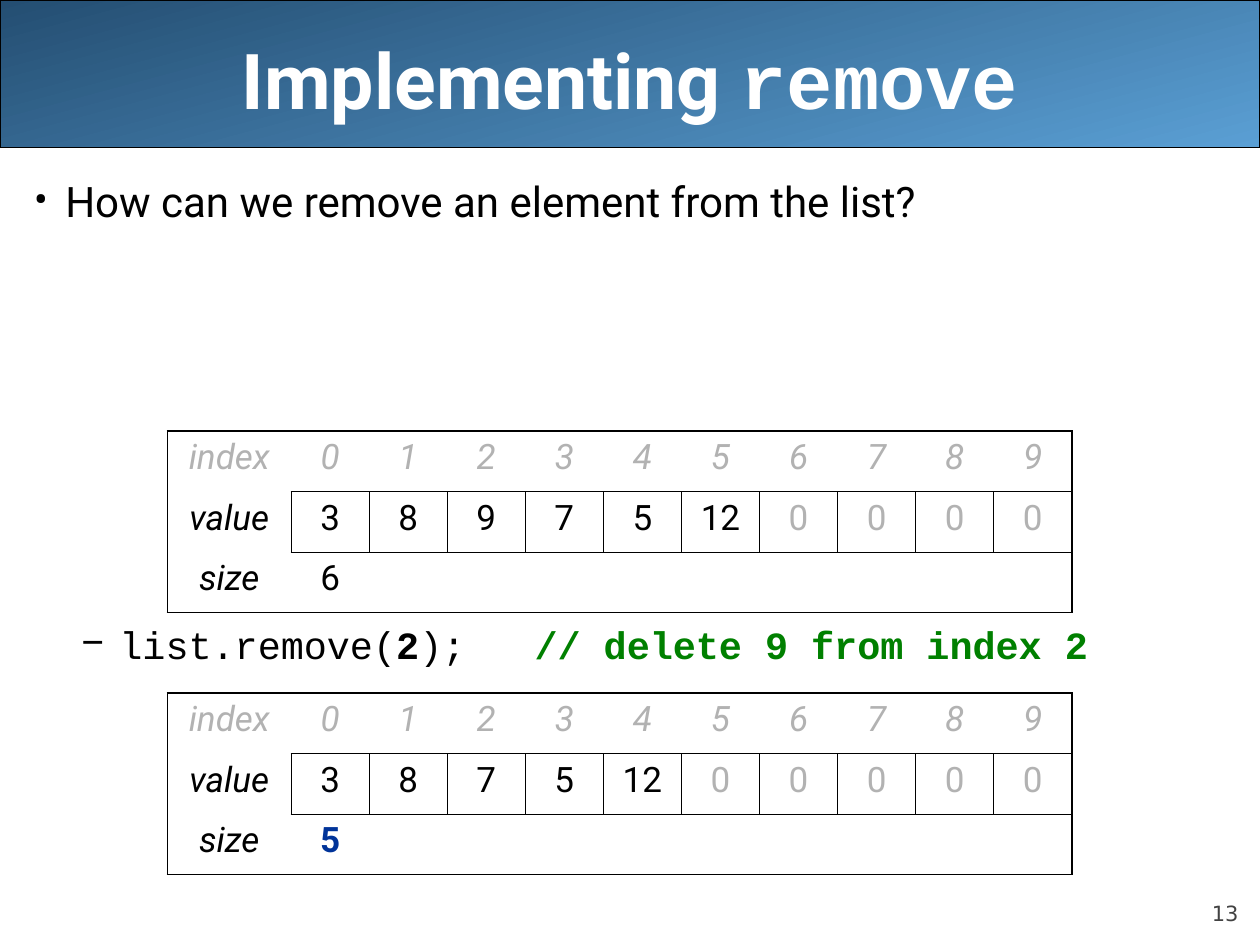
from lxml import etree
from pptx import Presentation
from pptx.dml.color import RGBColor
from pptx.enum.shapes import MSO_SHAPE
from pptx.enum.text import MSO_ANCHOR, PP_ALIGN
from pptx.oxml.ns import qn
from pptx.util import Inches, Pt

ROUNDED = MSO_SHAPE.ROUNDED_RECTANGLE
CENTER, RIGHT = PP_ALIGN.CENTER, PP_ALIGN.RIGHT
MIDDLE, BOTTOM = MSO_ANCHOR.MIDDLE, MSO_ANCHOR.BOTTOM
BLACK = RGBColor(0x00, 0x00, 0x00)
WHITE = RGBColor(0xFF, 0xFF, 0xFF)
GRAY = RGBColor(0xB2, 0xB2, 0xB2)
DARK_GRAY = RGBColor(0x42, 0x42, 0x42)
GREEN = RGBColor(0x00, 0x80, 0x00)
NAVY = RGBColor(0x00, 0x33, 0x99)
BAND_DARK = RGBColor(0x24, 0x4E, 0x72)
BAND_LIGHT = RGBColor(0x5A, 0x9F, 0xD4)
SANS, MONO = "Roboto", "Courier New"
NO_GRID_STYLE = "{2D5ABB26-0587-4C30-8999-92F81FD0307C}"

# Content
TITLE_FORMAT = {"size": Pt(44), "bold": True, "color": WHITE}
TITLE = [("Implementing ", {"name": SANS, **TITLE_FORMAT}),
         ("remove", {"name": MONO, **TITLE_FORMAT})]
CODE = {"name": MONO, "size": Pt(22), "color": BLACK}
BULLETS = [
    {"mark": "•", "margin": 0.25, "hang": 0.25, "before": 0,
     "spans": [("How can we remove an element from the list?",
                {"name": SANS, "size": Pt(24), "color": BLACK})]},
    {"mark": "–", "margin": 0.68, "hang": 0.31, "before": 231,
     "spans": [("list.remove(", CODE), ("2", {**CODE, "bold": True}),
               (");   ", CODE),
               ("// delete 9 from index 2",
                {**CODE, "bold": True, "color": GREEN})]},
]
PAGE_NUMBER = ("13", {"name": "DejaVu Sans", "size": Pt(12), "color": DARK_GRAY})
CAPACITY = 10
LISTS = [
    {"top": 3.42, "values": [3, 8, 9, 7, 5, 12], "size_format": {"color": BLACK}},
    {"top": 5.5, "values": [3, 8, 7, 5, 12],
     "size_format": {"color": NAVY, "bold": True}},
]

# Table measures
TABLE_LEFT, LABEL_WIDTH, CELL_WIDTH, ROW_HEIGHT = 1.33, 0.98, 0.62, 0.48
OUTER, INNER = Pt(1.08), Pt(0.45)


def add_span(para, text, style):
    span = para.add_run()
    span.text = text
    for key, value in style.items():
        if key == "color":
            span.font.color.rgb = value
        else:
            setattr(span.font, key, value)


def add_text_box(page, left, top, width, height):
    box = page.shapes.add_textbox(*map(Inches, (left, top, width, height)))
    box.text_frame.word_wrap = True
    return box.text_frame


def set_bullet(para, mark, margin, hang):
    props = para._p.get_or_add_pPr()
    props.set("marL", str(Inches(margin)))
    props.set("indent", str(-Inches(hang)))
    color = etree.SubElement(props, qn("a:buClr"))
    etree.SubElement(color, qn("a:srgbClr"), val=str(BLACK))
    etree.SubElement(props, qn("a:buFont"), typeface=SANS)
    etree.SubElement(props, qn("a:buChar"), char=mark)


def set_borders(cell, row, column):
    """Heavy frame around the table, thin grid around the value cells."""
    is_value = row == 1 and column > 0
    widths = {
        "L": OUTER if column == 0 else INNER if is_value else None,
        "R": OUTER if column == CAPACITY
        else INNER if row == 1 else None,
        "T": OUTER if row == 0 else INNER if column and row else None,
        "B": OUTER if row == 2 else INNER if column else None,
    }
    props = cell._tc.get_or_add_tcPr()
    for side, width in widths.items():
        if width:
            line = etree.SubElement(props, qn("a:ln" + side), w=str(int(width)))
            fill = etree.SubElement(line, qn("a:solidFill"))
            etree.SubElement(fill, qn("a:srgbClr"), val=str(BLACK))


def add_list_table(page, top, values, size_format):
    unused = CAPACITY - len(values)
    label, faded = {"color": BLACK, "italic": True}, {"color": GRAY}
    header = {"color": GRAY, "italic": True}
    rows = [
        [(text, header) for text in ["index", *range(CAPACITY)]],
        [("value", label)] + [(value, {"color": BLACK}) for value in values]
        + [(0, faded)] * unused,
        [("size", label), (len(values), size_format)]
        + [("", {})] * (CAPACITY - 1),
    ]
    widths = [LABEL_WIDTH] + [CELL_WIDTH] * CAPACITY
    frame = page.shapes.add_table(
        len(rows), len(widths), Inches(TABLE_LEFT), Inches(top),
        Inches(sum(widths)), Inches(ROW_HEIGHT * len(rows)))
    table = frame.table
    table.first_row = table.horz_banding = False
    table._tbl.tblPr.find(qn("a:tableStyleId")).text = NO_GRID_STYLE
    for column, width in zip(table.columns, widths):
        column.width = Inches(width)
    for row_index, row in enumerate(rows):
        table.rows[row_index].height = Inches(ROW_HEIGHT)
        for column_index, (text, style) in enumerate(row):
            cell = table.cell(row_index, column_index)
            set_borders(cell, row_index, column_index)
            cell.fill.background()
            para = cell.text_frame.paragraphs[0]
            para.alignment = CENTER
            if text != "":
                add_span(para, str(text), {"name": SANS, "size": Pt(20), **style})


def main():
    deck = Presentation()
    deck.slide_width, deck.slide_height = Inches(10), Inches(7.5)
    page = deck.slides.add_slide(deck.slide_layouts[5])
    title = page.shapes.title

    # Header band, placed behind the title
    band = page.shapes.add_shape(ROUNDED, 0, 0, Inches(10), Inches(1.17))
    band.adjustments[0] = 0
    band.shadow.inherit = False
    band.fill.gradient()
    band.fill.gradient_angle = 285
    for stop, color in zip(band.fill.gradient_stops, (BAND_DARK, BAND_LIGHT)):
        stop.color.rgb = color
    band.line.color.rgb = BLACK
    band.line.width = Pt(0.75)
    title._element.addprevious(band._element)

    # Title
    title.left, title.top = Inches(0.5), Inches(0)
    title.width, title.height = Inches(9), Inches(1.25)
    title.text_frame.vertical_anchor = MIDDLE
    heading = title.text_frame.paragraphs[0]
    heading.alignment = CENTER
    for text, style in TITLE:
        add_span(heading, text, style)

    # Page number
    number = add_text_box(page, 9, 6.95, 0.83, 0.4)
    for side in ("left", "top", "right", "bottom"):
        setattr(number, "margin_" + side, 0)
    number.vertical_anchor = BOTTOM
    number.paragraphs[0].alignment = RIGHT
    add_span(number.paragraphs[0], *PAGE_NUMBER)

    # Bullets, with room for the first table between them
    body = add_text_box(page, 0.17, 1.42, 9.83, 5.67)
    for index, bullet in enumerate(BULLETS):
        para = body.add_paragraph() if index else body.paragraphs[0]
        set_bullet(para, bullet["mark"], bullet["margin"], bullet["hang"])
        para.line_spacing = 0.8
        if index:
            para.space_before = Pt(bullet["before"])
        for text, style in bullet["spans"]:
            add_span(para, text, style)

    # List contents before and after the removal
    for state in LISTS:
        add_list_table(page, **state)

    deck.save("out.pptx")


if __name__ == "__main__":
    main()
